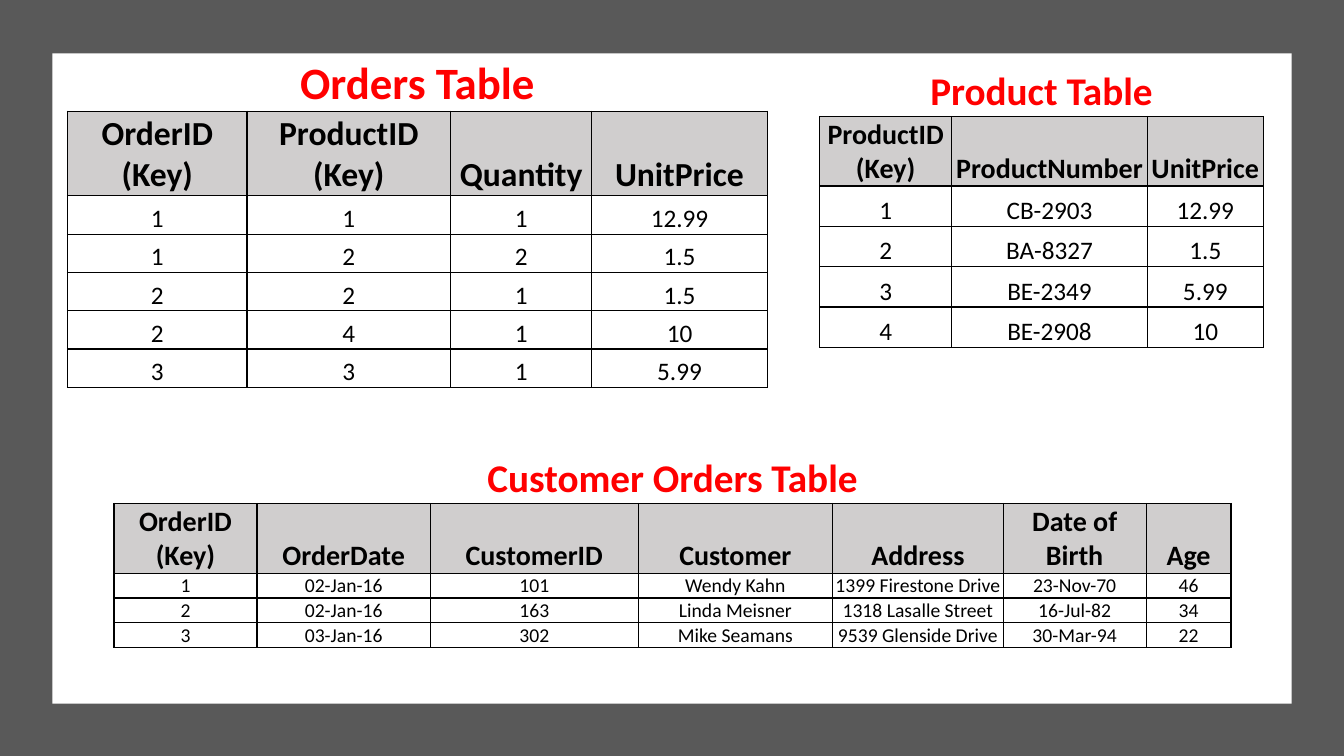
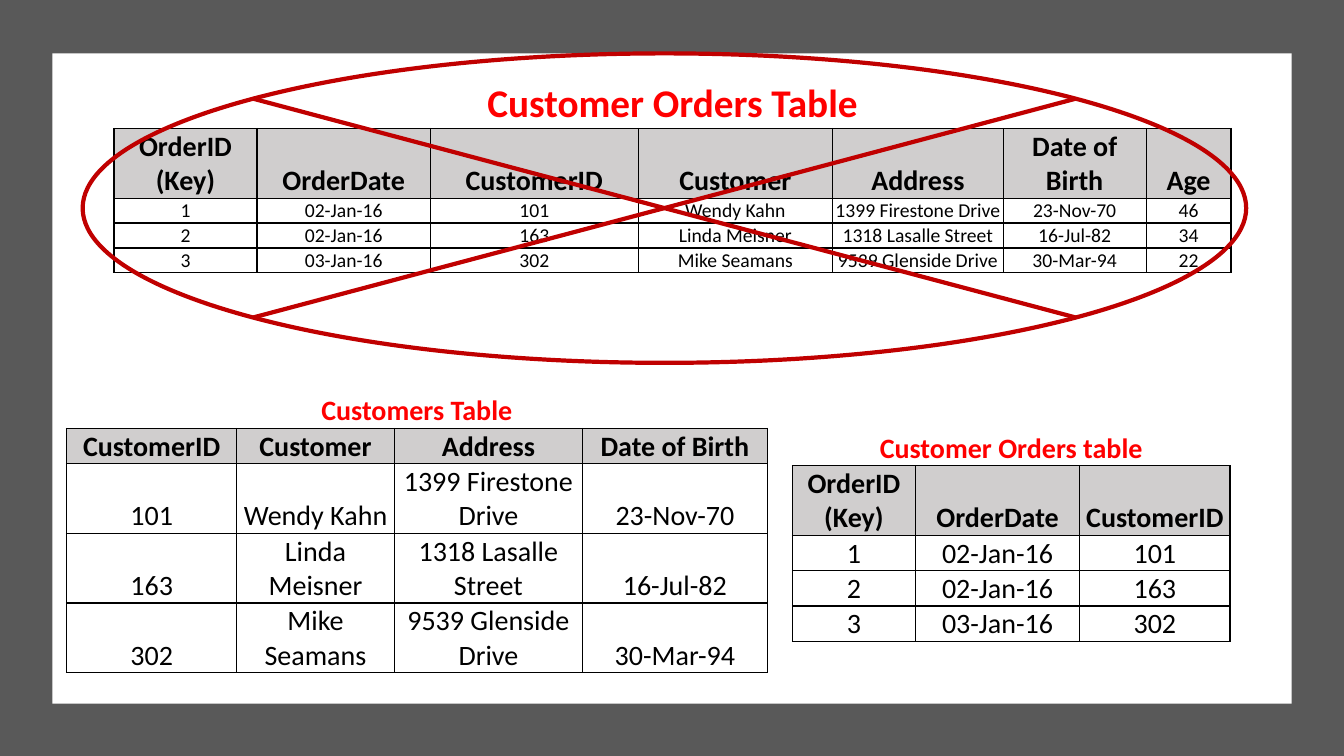
from dataclasses import dataclass

from lxml.etree import SubElement
from pptx import Presentation
from pptx.dml.color import RGBColor
from pptx.enum.shapes import MSO_SHAPE
from pptx.enum.text import MSO_ANCHOR, PP_ALIGN
from pptx.oxml.ns import qn
from pptx.util import Inches, Pt


@dataclass(frozen=True)
class Theme:
    font: str = "Calibri"
    frame: str = "595959"
    page: str = "FFFFFF"
    title: str = "FF0000"
    header: str = "D0CECE"
    ink: str = "000000"
    rejected: str = "C00000"
    huge: int = 32
    large: int = 28
    header_large: int = 24
    medium: int = 20
    body: int = 18
    small: int = 14
    grid_width: int = 1
    cross_width: int = 3


THEME = Theme()
SLIDE_SIZE = (13.33, 7.5)

ORDERS = [
    ("OrderID (Key)", "ProductID (Key)", "Quantity", "UnitPrice"),
    ("1", "1", "1", "12.99"),
    ("1", "2", "2", "1.5"),
    ("2", "2", "1", "1.5"),
    ("2", "4", "1", "10"),
    ("3", "3", "1", "5.99"),
]
PRODUCTS = [
    ("ProductID (Key)", "ProductNumber", "UnitPrice"),
    ("1", "CB-2903", "12.99"),
    ("2", "BA-8327", "1.5"),
    ("3", "BE-2349", "5.99"),
    ("4", "BE-2908", "10"),
]
CUSTOMER_ORDERS = [
    ("OrderID (Key)", "OrderDate", "CustomerID", "Customer", "Address", "Date of Birth", "Age"),
    ("1", "02-Jan-16", "101", "Wendy Kahn", "1399 Firestone Drive", "23-Nov-70", "46"),
    ("2", "02-Jan-16", "163", "Linda Meisner", "1318 Lasalle Street", "16-Jul-82", "34"),
    ("3", "03-Jan-16", "302", "Mike Seamans", "9539 Glenside Drive", "30-Mar-94", "22"),
]


def select(records, first, last):
    """Keep only the columns from first to last, both included."""
    return [record[first:last + 1] for record in records]


# Heights and sizes are given for the title row, the header row and each data row.
ORDERS_TABLE = {
    "title": "Orders Table", "records": ORDERS,
    "widths": (1.78, 2.02, 1.4, 1.74), "heights": (0.54, 0.84, 0.38),
    "sizes": (THEME.huge, THEME.header_large, THEME.body), "inset": 0.02,
}
PRODUCT_TABLE = {
    "title": "Product Table", "records": PRODUCTS,
    "widths": (1.31, 1.94, 1.15), "heights": (0.48, 0.69, 0.4),
    "sizes": (THEME.large, THEME.medium, THEME.body),
}
CUSTOMER_ORDERS_TABLE = {
    "title": "Customer Orders Table", "records": CUSTOMER_ORDERS,
    "widths": (1.42, 1.72, 2.06, 1.93, 1.69, 1.42, 0.84), "heights": (0.48, 0.69, 0.24),
    "sizes": (THEME.large, THEME.medium, THEME.small),
}
SPLIT_ORDERS_TABLE = {
    "title": "Customer Orders table", "records": select(CUSTOMER_ORDERS, 0, 2),
    "widths": (1.22, 1.63, 1.49), "heights": (0.34, 0.69, 0.35),
    "sizes": (THEME.medium,) * 3,
}
CUSTOMERS_TABLE = {
    "title": "Customers Table", "records": select(CUSTOMER_ORDERS, 2, 5),
    "widths": (1.69, 1.56, 1.87, 1.83), "heights": (0.34, 0.34, 0.69),
    "sizes": (THEME.medium,) * 3,
}


def add_panel(page, left, top, width, height, color):
    panel = page.shapes.add_shape(
        MSO_SHAPE.RECTANGLE, Inches(left), Inches(top), Inches(width), Inches(height))
    panel.shadow.inherit = False
    panel.fill.solid()
    panel.fill.fore_color.rgb = RGBColor.from_string(color)
    panel.line.fill.background()


def add_page(deck):
    page = deck.slides.add_slide(deck.slide_layouts[6])
    add_panel(page, 0, 0, *SLIDE_SIZE, THEME.frame)
    add_panel(page, 0.52, 0.53, 12.29, 6.45, THEME.page)
    return page


def set_borders(cell, visible_sides):
    properties = cell._tc.get_or_add_tcPr()
    for side in "LRTB":
        line = SubElement(properties, qn(f"a:ln{side}"), w=str(Pt(THEME.grid_width)))
        if side in visible_sides:
            fill = SubElement(line, qn("a:solidFill"))
            SubElement(fill, qn("a:srgbClr"), val=THEME.ink)
        else:
            SubElement(line, qn("a:noFill"))


def style_cell(cell, level, size, inset):
    """Format a cell of the title (level 0), the header (1) or the data (2)."""
    set_borders(cell, "B" if level == 0 else "LRTB")
    if level == 1:
        cell.fill.solid()
        cell.fill.fore_color.rgb = RGBColor.from_string(THEME.header)
    else:
        cell.fill.background()
    cell.vertical_anchor = MSO_ANCHOR.BOTTOM
    cell.margin_left = cell.margin_right = cell.margin_top = Inches(inset)
    cell.margin_bottom = 0
    para = cell.text_frame.paragraphs[0]
    para.alignment = PP_ALIGN.CENTER
    para.font.name = THEME.font
    para.font.size = Pt(size)
    para.font.bold = level < 2
    para.font.color.rgb = RGBColor.from_string(THEME.title if level == 0 else THEME.ink)


def add_data_table(page, left, top, title, records, widths, heights, sizes, inset=0.01):
    rows = [(title,) + ("",) * (len(widths) - 1), *records]
    levels = [min(index, 2) for index in range(len(rows))]
    row_heights = [heights[level] for level in levels]
    table = page.shapes.add_table(
        len(rows), len(widths), Inches(left), Inches(top),
        Inches(sum(widths)), Inches(sum(row_heights))).table
    table.first_row = table.horz_banding = False
    for column, width in zip(table.columns, widths):
        column.width = Inches(width)
    for row, height, level, texts in zip(table.rows, row_heights, levels, rows):
        row.height = Inches(height)
        for cell, text in zip(row.cells, texts):
            cell.text = text
            style_cell(cell, level, sizes[level], inset)
    table.cell(0, 0).merge(table.cell(0, len(widths) - 1))


def add_crossed_ellipse(page, left, top, width, height):
    cross = page.shapes.add_shape(
        MSO_SHAPE.FLOWCHART_SUMMING_JUNCTION,
        Inches(left), Inches(top), Inches(width), Inches(height))
    cross.shadow.inherit = False
    cross.fill.background()
    cross.line.color.rgb = RGBColor.from_string(THEME.rejected)
    cross.line.width = Pt(THEME.cross_width)


def main():
    deck = Presentation()
    deck.slide_width, deck.slide_height = map(Inches, SLIDE_SIZE)

    page = add_page(deck)
    add_data_table(page, 0.67, 0.54, **ORDERS_TABLE)
    add_data_table(page, 8.13, 0.67, **PRODUCT_TABLE)
    add_data_table(page, 1.13, 4.51, **CUSTOMER_ORDERS_TABLE)

    page = add_page(deck)
    add_data_table(page, 1.13, 0.79, **CUSTOMER_ORDERS_TABLE)
    add_crossed_ellipse(page, 0.82, 0.53, 11.54, 3.07)
    add_data_table(page, 7.86, 4.27, **SPLIT_ORDERS_TABLE)
    add_data_table(page, 0.66, 3.9, **CUSTOMERS_TABLE)

    deck.save("out.pptx")


if __name__ == "__main__":
    main()
